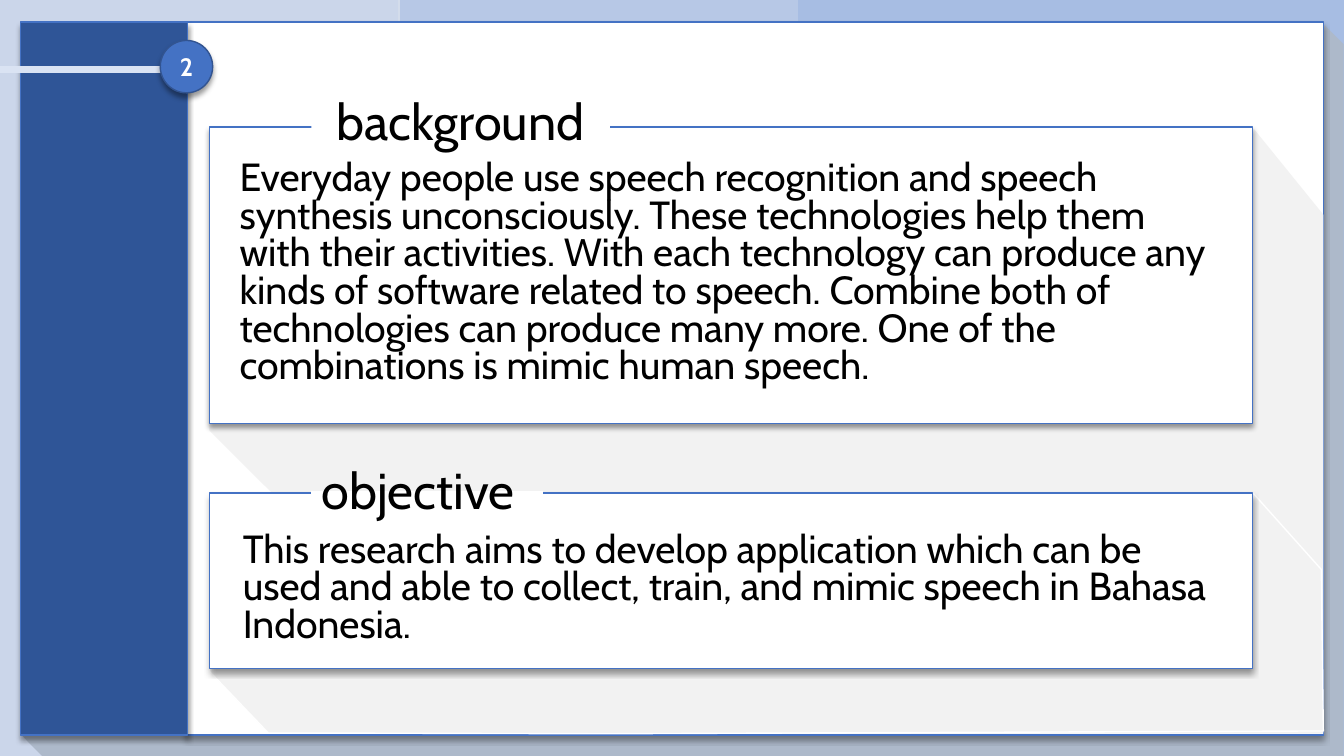
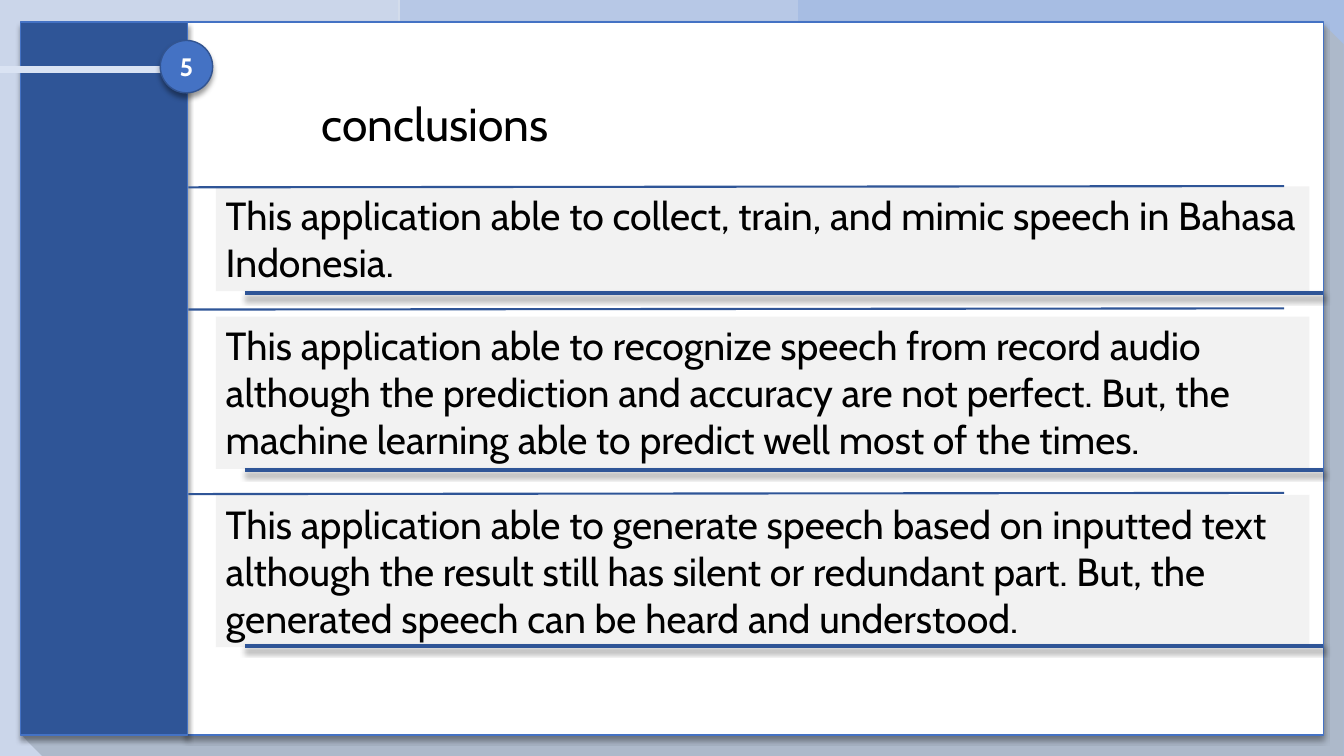
from lxml.etree import SubElement
from pptx import Presentation
from pptx.dml.color import RGBColor
from pptx.enum.shapes import MSO_CONNECTOR, MSO_SHAPE
from pptx.enum.text import MSO_ANCHOR, PP_ALIGN
from pptx.oxml.ns import qn
from pptx.util import Cm, Pt

SKY = RGBColor(0xA7, 0xBD, 0xE3)
BLUE = RGBColor(0x44, 0x72, 0xC4)
NAVY = RGBColor(0x2F, 0x55, 0x97)
BADGE_EDGE = RGBColor(0x32, 0x54, 0x91)
PALE_BLUE = RGBColor(0xDA, 0xE3, 0xF3)
SLATE = RGBColor(0xAD, 0xB9, 0xCA)
LIGHT_GRAY = RGBColor(0xF2, 0xF2, 0xF2)
CARD_GRAY = RGBColor(0xE7, 0xE6, 0xE6)
WHITE = RGBColor(0xFF, 0xFF, 0xFF)
BLACK = RGBColor(0, 0, 0)
FONT = "Cabin"


def style(shape, fill=None, line=None, weight=1, opacity=100, shadow=False):
    if fill is not None:
        shape.fill.solid()
        shape.fill.fore_color.rgb = fill
        if opacity < 100:
            color = shape.fill._xPr.find(qn("a:solidFill"))[0]
            SubElement(color, qn("a:alpha"), val=str(opacity * 1000))
    if line is None:
        shape.line.fill.background()
    else:
        shape.line.color.rgb = line
        shape.line.width = Pt(weight)
    effects = SubElement(shape._element.spPr, qn("a:effectLst"))
    if shadow:
        outer = SubElement(effects, qn("a:outerShdw"), blurRad=str(Pt(4)), dist=str(Pt(3)),
                           dir="5400000", algn="t", rotWithShape="0")
        black = SubElement(outer, qn("a:srgbClr"), val="000000")
        SubElement(black, qn("a:alpha"), val="40000")


def write(shape, text, size, color=BLACK, bold=False, align=PP_ALIGN.LEFT,
          anchor=MSO_ANCHOR.TOP, spacing=1.0, before=0):
    frame = shape.text_frame
    frame.word_wrap = True
    frame.vertical_anchor = anchor
    para = frame.paragraphs[0]
    para.text = text
    para.alignment = align
    para.line_spacing = spacing
    para.space_before = Pt(before)
    para.font.name = FONT
    para.font.size = Pt(size)
    para.font.bold = bold
    para.font.color.rgb = color


deck = Presentation()
deck.slide_width, deck.slide_height = Cm(33.87), Cm(19.05)
deck.slide_master.background.fill.solid()
deck.slide_master.background.fill.fore_color.rgb = SKY

pages = []
for number in ("2", "5"):
    page = deck.slides.add_slide(deck.slide_layouts[6])
    pages.append(page)
    for left, opacity in ((0, 49), (10.03, 22)):
        band = page.shapes.add_shape(MSO_SHAPE.RECTANGLE, Cm(left), 0, Cm(10.08), deck.slide_height)
        style(band, LIGHT_GRAY, opacity=opacity)
    backdrop = page.shapes.add_shape(
        MSO_SHAPE.SNIP_2_DIAG_RECTANGLE, Cm(0.51), Cm(0.56), Cm(33.35), Cm(18.49))
    backdrop.adjustments[0] = 0
    backdrop.adjustments[1] = 0.03
    style(backdrop, SLATE)
    for left, width, fill in ((4.72, 28.63, WHITE), (0.51, 4.22, NAVY)):
        sheet = page.shapes.add_shape(
            MSO_SHAPE.RECTANGLE, Cm(left), Cm(0.56), Cm(width), Cm(17.96))
        style(sheet, fill, BLUE, shadow=True)
    stem = page.shapes.add_connector(MSO_CONNECTOR.STRAIGHT, 0, Cm(1.75), Cm(4.72), Cm(1.75))
    style(stem, line=PALE_BLUE, weight=4.5)
    badge = page.shapes.add_shape(MSO_SHAPE.OVAL, Cm(4.04), Cm(1.02), Cm(1.32), Cm(1.32))
    style(badge, BLUE, BADGE_EDGE, shadow=True)
    write(badge, number, 18, WHITE, True, PP_ALIGN.CENTER, MSO_ANCHOR.MIDDLE)

overview, conclusions = pages

long_shadows = (
    (None, ((5.28, 3.2), (31.6, 3.25), (33.35, 5.41), (33.35, 18.49), (12.93, 18.49),
            (5.28, 10.85))),
    (WHITE, ((5.28, 12.42), (31.6, 12.45), (33.3, 14.35), (33.35, 18.42), (15.27, 18.49),
             (6.76, 18.47), (5.28, 16.92))),
)
for edge, corners in long_shadows:
    points = [(Cm(x), Cm(y)) for x, y in corners]
    outline = overview.shapes.build_freeform(*points[0])
    outline.add_line_segments(points[1:])
    style(outline.convert_to_shape(), LIGHT_GRAY, edge)

sections = (
    (3.2, 7.47, 5.79, 3.94, 6.45,
     "Everyday people use speech recognition and speech synthesis unconsciously. These "
     "technologies help them with their activities. With each technology can produce any kinds "
     "of software related to speech. Combine both of technologies can produce many more. One of "
     "the combinations is mimic human speech."),
    (12.42, 4.42, 5.87, 13.31, 3.3,
     "This research aims to develop application which can be used and able to collect, train, "
     "and mimic speech in Bahasa Indonesia."),
)
for top, height, text_left, text_top, text_height, text in sections:
    panel = overview.shapes.add_shape(
        MSO_SHAPE.RECTANGLE, Cm(5.28), Cm(top), Cm(26.29), Cm(height))
    style(panel, WHITE, BLUE, shadow=True)
    body = overview.shapes.add_textbox(Cm(text_left), Cm(text_top), Cm(25.27), Cm(text_height))
    write(body, text, 28, spacing=0.8, before=10)

gap = overview.shapes.add_connector(
    MSO_CONNECTOR.STRAIGHT, Cm(7.85), Cm(12.42), Cm(13.69), Cm(12.42))
style(gap, line=WHITE, weight=2.5)
objective = overview.shapes.add_textbox(Cm(7.85), Cm(11.48), Cm(5.84), Cm(1.88))
write(objective, "objective", 36, anchor=MSO_ANCHOR.MIDDLE, spacing=0.9)

titles = (
    (overview, "background", 7.52, 36, PP_ALIGN.CENTER),
    (conclusions, "conclusions", 11.73, 33, PP_ALIGN.LEFT),
)
for page, text, width, size, align in titles:
    title = page.shapes.add_shape(MSO_SHAPE.RECTANGLE, Cm(7.85), Cm(1.93), Cm(width), Cm(2.01))
    style(title, WHITE)
    write(title, text, size, align=align, anchor=MSO_ANCHOR.BOTTOM, spacing=0.9)

cards = (
    (4.7, 2.64, 4.72, 7.39,
     "This application able to collect, train, and mimic speech in Bahasa Indonesia."),
    (7.98, 3.84, 7.8, 11.84,
     "This application able to recognize speech from record audio although the prediction and "
     "accuracy are not perfect. But, the machine learning able to predict well most of the times."),
    (12.47, 3.84, 12.45, 16.28,
     "This application able to generate speech based on inputted text although the result still "
     "has silent or redundant part. But, the generated speech can be heard and understood."),
)
for top, height, upper, lower, text in cards:
    card = conclusions.shapes.add_shape(
        MSO_SHAPE.RECTANGLE, Cm(5.44), Cm(top), Cm(27.56), Cm(height))
    style(card, CARD_GRAY, opacity=50)
    write(card, text, 28)
    upper_rule = conclusions.shapes.add_connector(
        MSO_CONNECTOR.STRAIGHT, Cm(4.75), Cm(upper), Cm(32.36), Cm(upper - 0.03))
    style(upper_rule, line=NAVY, weight=1.5)
    lower_rule = conclusions.shapes.add_connector(
        MSO_CONNECTOR.STRAIGHT, Cm(6.17), Cm(lower), Cm(33.35), Cm(lower))
    style(lower_rule, line=NAVY, weight=3, shadow=True)

deck.save("out.pptx")
